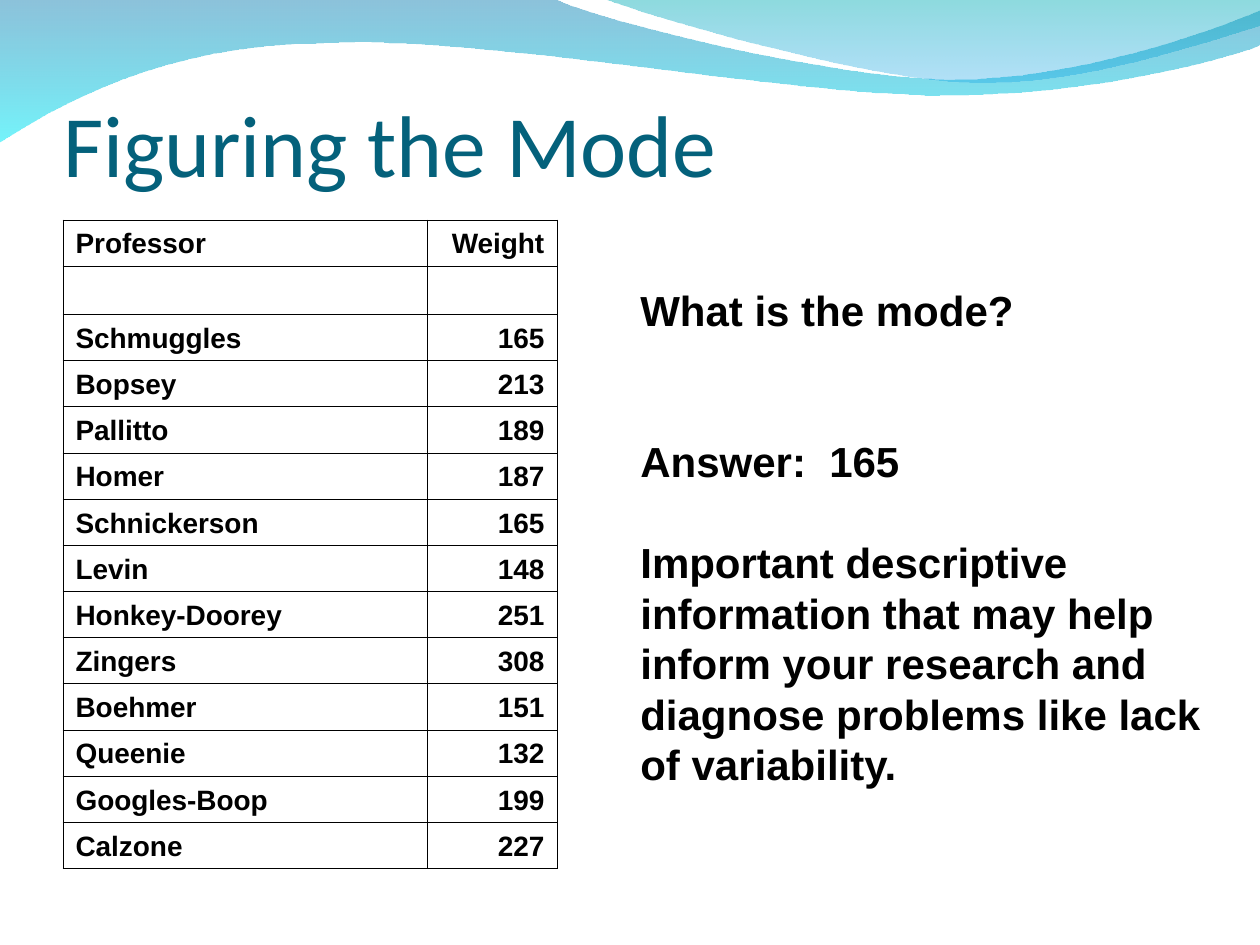
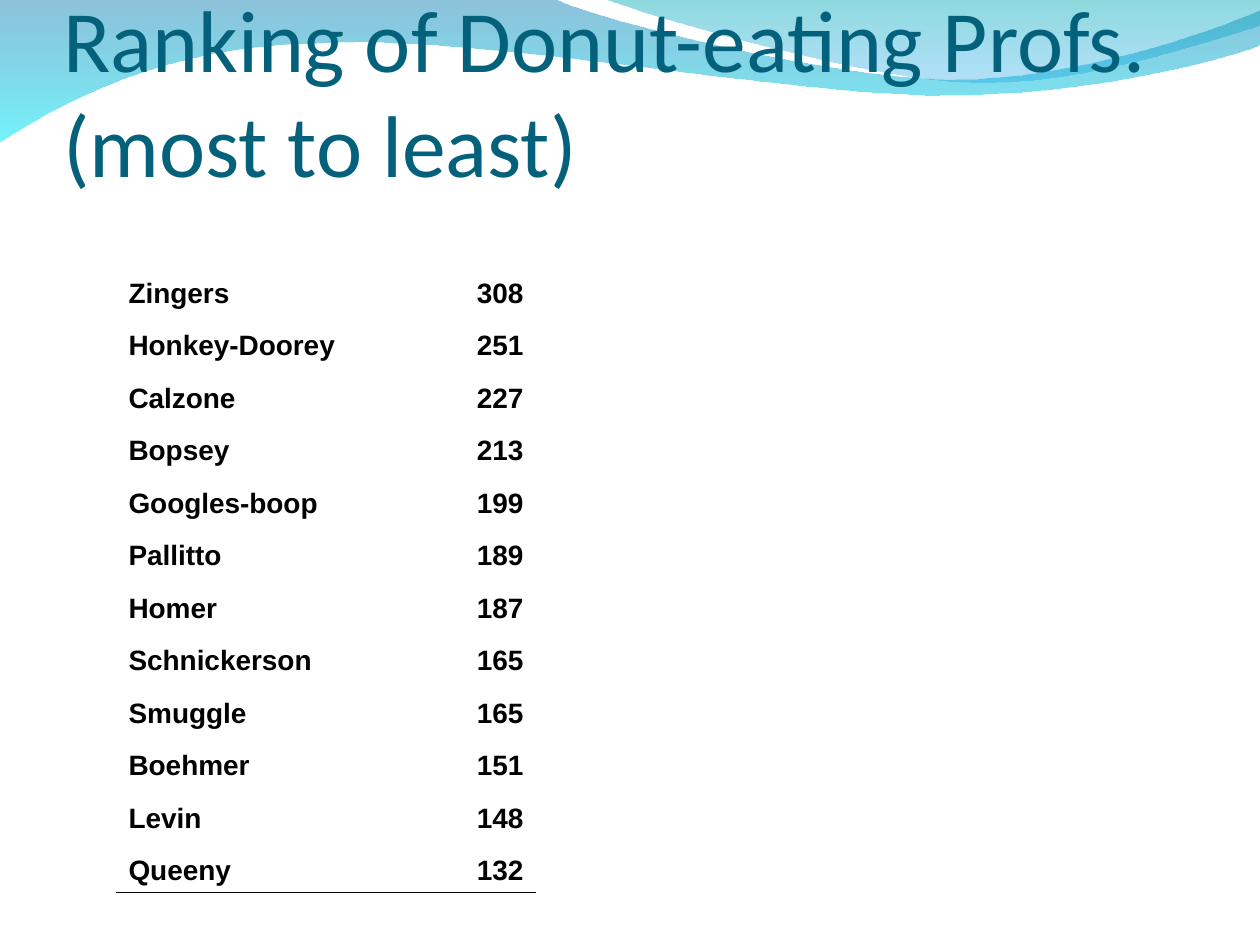
"""Build two slides on the mode and the ranking of professors by weight."""
import dataclasses

import lxml.etree
import pptx
import pptx.dml.color
import pptx.enum.text
import pptx.oxml.ns
import pptx.util

EMU_PER_PX = 914400 / 126
BLANK_ROW_EXTRA = 2
PLAIN_TABLE_STYLE = "{2D5ABB26-0587-4C30-8999-92F81FD0307C}"
ALIGN = pptx.enum.text.PP_ALIGN
ANCHOR = pptx.enum.text.MSO_ANCHOR


@dataclasses.dataclass(frozen=True)
class Theme:
    """Colours, fonts and type sizes shared by the slides."""
    title_color: str = "04617B"
    text_color: str = "000000"
    cell_color: str = "FFFFFF"
    title_font: str = "Calibri"
    body_font: str = "Arial"
    title_size: float = 50
    body_size: float = 24
    body_leading: float = 28.85
    table_size: float = 16
    border_width: float = 0.45
    wide_wave: tuple = (("0079AF", 45), ("00EBF8", 55))
    right_wave: tuple = (("00ADB6", 45), ("009BE5", 30))


THEME = Theme()

WIDE_WAVE = [
    [(0, -1)],
    [(554, -1)],
    [(600, 21), (837, 79), (955, 79)],
    [(1075, 79), (1207, 33), (1260, 11)],
    [(1261, 45)],
    [(1239, 55), (1096, 96), (940, 95)],
    [(784, 95), (481, 35), (324, 43)],
    [(163, 44), (58, 105), (-1, 142)],
]
RIGHT_WAVE = [
    [(604, -1)],
    [(641, 14), (859, 78), (969, 82)],
    [(1079, 87), (1211, 40), (1260, 26)],
    [(1260, 0)],
]

WEIGHTS = [
    ("Professor", "Weight"), ("", ""), ("Schmuggles", "165"),
    ("Bopsey", "213"), ("Pallitto", "189"), ("Homer", "187"),
    ("Schnickerson", "165"), ("Levin", "148"), ("Honkey-Doorey", "251"),
    ("Zingers", "308"), ("Boehmer", "151"), ("Queenie", "132"),
    ("Googles-Boop", "199"), ("Calzone", "227"),
]
RANKING = [
    ("Zingers", "308"), ("Honkey-Doorey", "251"), ("Calzone", "227"),
    ("Bopsey", "213"), ("Googles-boop", "199"), ("Pallitto", "189"),
    ("Homer", "187"), ("Schnickerson", "165"), ("Smuggle", "165"),
    ("Boehmer", "151"), ("Levin", "148"), ("Queeny", "132"),
]
MODE_NOTES = [
    ("What is the mode?", 0),
    ("Answer:  165", 2),
    ("Important descriptive information that may help inform your research "
     "and diagnose problems like lack of variability.", 1),
]


def px(length):
    """Turn a length in px into EMU."""
    return pptx.util.Emu(round(length * EMU_PER_PX))


def rgb(color):
    """Turn a hex string into a colour."""
    return pptx.dml.color.RGBColor.from_string(color)


def tag(name):
    """Give the full XML name of a prefixed tag."""
    return pptx.oxml.ns.qn(name)


def place(shape, left, top, width, height):
    """Set the position and size of a shape in px."""
    shape.left, shape.top = px(left), px(top)
    shape.width, shape.height = px(width), px(height)


def add_run(paragraph, text, font_name, size, color, bold=False):
    """Add one formatted run to a paragraph."""
    run = paragraph.add_run()
    run.text = text
    run.font.name = font_name
    run.font.size = pptx.util.Pt(size)
    run.font.bold = bold
    run.font.color.rgb = rgb(color)


def bend_lines(wave, segments):
    """Turn the straight sides that have control points into curves."""
    lines = list(wave.element.iter(tag("a:lnTo")))
    for line, segment in zip(lines, segments):
        if len(segment) == 3:
            curve = lxml.etree.Element(tag("a:cubicBezTo"))
            for x, y in segment:
                point = lxml.etree.SubElement(curve, tag("a:pt"))
                point.set("x", str(px(x) - wave.left))
                point.set("y", str(px(y) - wave.top))
            line.getparent().replace(line, curve)


def add_wave(slide, segments, stops):
    """Draw a closed wave with a see-through vertical gradient."""
    corners = [(px(x), px(y)) for x, y in (part[-1] for part in segments)]
    builder = slide.shapes.build_freeform(*corners[0])
    builder.add_line_segments(corners[1:], close=True)
    wave = builder.convert_to_shape()
    bend_lines(wave, segments[1:])
    wave.shadow.inherit = False
    wave.line.fill.background()
    wave.fill.gradient()
    wave.fill.gradient_angle = 270
    for stop, (color, _) in zip(wave.fill.gradient_stops, stops):
        stop.color.rgb = rgb(color)
    colors = wave.element.iter(tag("a:srgbClr"))
    for color_element, (_, opacity) in zip(colors, stops):
        alpha = lxml.etree.SubElement(color_element, tag("a:alpha"))
        alpha.set("val", str(opacity * 1000))
    return wave


def prepare_layout(layout, slide):
    """Put the waves and the title position on the shared layout."""
    waves = [add_wave(slide, WIDE_WAVE, THEME.wide_wave),
             add_wave(slide, RIGHT_WAVE, THEME.right_wave)]
    for index, wave in enumerate(waves):
        layout.shapes.element.insert(2 + index, wave.element)
    title = layout.placeholders[0]
    place(title, 63, 38, 1134, 157)
    frame = title.text_frame
    frame.vertical_anchor = ANCHOR.BOTTOM
    frame.margin_left = frame.margin_right = frame.margin_bottom = 0
    frame.margin_top = px(6)
    frame.auto_size = pptx.enum.text.MSO_AUTO_SIZE.NONE


def set_title(slide, text):
    """Fill the title placeholder."""
    paragraph = slide.shapes.title.text_frame.paragraphs[0]
    paragraph.alignment = ALIGN.LEFT
    add_run(paragraph, text, THEME.title_font, THEME.title_size,
            THEME.title_color)


def set_borders(cell, sides):
    """Draw thin lines on the given sides of a cell, ahead of its fill."""
    properties = cell._tc.get_or_add_tcPr()
    for index, side in enumerate(sides):
        line = lxml.etree.Element(tag(f"a:ln{side}"))
        line.set("w", str(pptx.util.Pt(THEME.border_width)))
        fill = lxml.etree.SubElement(line, tag("a:solidFill"))
        color = lxml.etree.SubElement(fill, tag("a:srgbClr"))
        color.set("val", THEME.text_color)
        properties.insert(index, line)


def fill_cell(cell, text, alignment, color):
    """Write one table cell and set its fill."""
    cell.vertical_anchor = ANCHOR.BOTTOM
    if color:
        cell.fill.solid()
        cell.fill.fore_color.rgb = rgb(color)
    else:
        cell.fill.background()
    paragraph = cell.text_frame.paragraphs[0]
    paragraph.alignment = alignment
    if text:
        add_run(paragraph, text, THEME.body_font, THEME.table_size,
                THEME.text_color, bold=True)
    else:
        end = lxml.etree.SubElement(paragraph._p, tag("a:endParaRPr"))
        end.set("sz", str(THEME.table_size * 100))


def row_heights(rows, height):
    """Share the height equally, with a little more for blank rows."""
    extras = [0 if any(row) else BLANK_ROW_EXTRA for row in rows]
    base = (height - sum(extras)) / len(rows)
    return [base + extra for extra in extras]


def add_weight_table(slide, rows, left, top, widths, height, gridded):
    """Add names and weights, with a full grid or only a closing line."""
    frame = slide.shapes.add_table(
        len(rows), len(widths), px(left), px(top), px(sum(widths)), px(height))
    table = frame.table
    table.first_row = table.horz_banding = False
    next(frame.element.iter(tag("a:tableStyleId"))).text = PLAIN_TABLE_STYLE
    for column, width in zip(table.columns, widths):
        column.width = px(width)
    for row, row_height in zip(table.rows, row_heights(rows, height)):
        row.height = px(row_height)
    for row_index, values in enumerate(rows):
        for column_index, text in enumerate(values):
            cell = table.cell(row_index, column_index)
            alignment = ALIGN.RIGHT if column_index else ALIGN.LEFT
            fill_cell(cell, text, alignment,
                      THEME.cell_color if gridded else None)
            if gridded:
                set_borders(cell, "LRTB")
            elif row_index == len(rows) - 1:
                set_borders(cell, "B")


def add_notes_box(slide, notes, left, top, width, height):
    """Add bold paragraphs, each set off by a number of lines."""
    box = slide.shapes.add_textbox(px(left), px(top), px(width), px(height))
    frame = box.text_frame
    frame.word_wrap = True
    frame.auto_size = pptx.enum.text.MSO_AUTO_SIZE.SHAPE_TO_FIT_TEXT
    for index, (text, lines_before) in enumerate(notes):
        paragraph = frame.add_paragraph() if index else frame.paragraphs[0]
        paragraph.line_spacing = pptx.util.Pt(THEME.body_leading)
        if lines_before:
            paragraph.space_before = pptx.util.Pt(
                lines_before * THEME.body_leading)
        add_run(paragraph, text, THEME.body_font, THEME.body_size,
                THEME.text_color, bold=True)


def main():
    """Build and save the presentation."""
    presentation = pptx.Presentation()
    presentation.slide_width, presentation.slide_height = px(1260), px(945)
    layout = presentation.slide_layouts.get_by_name("Title Only")

    mode_slide = presentation.slides.add_slide(layout)
    prepare_layout(layout, mode_slide)
    set_title(mode_slide, "Figuring the Mode")
    add_weight_table(mode_slide, WEIGHTS, 63, 220, (364, 130), 649, True)
    add_notes_box(mode_slide, MODE_NOTES, 628, 278, 590, 517)

    ranking_slide = presentation.slides.add_slide(layout)
    set_title(ranking_slide, "Ranking of Donut-eating Profs. (most to least)")
    add_weight_table(ranking_slide, RANKING, 116, 263, (267, 153), 630, False)

    presentation.save("out.pptx")


if __name__ == "__main__":
    main()
